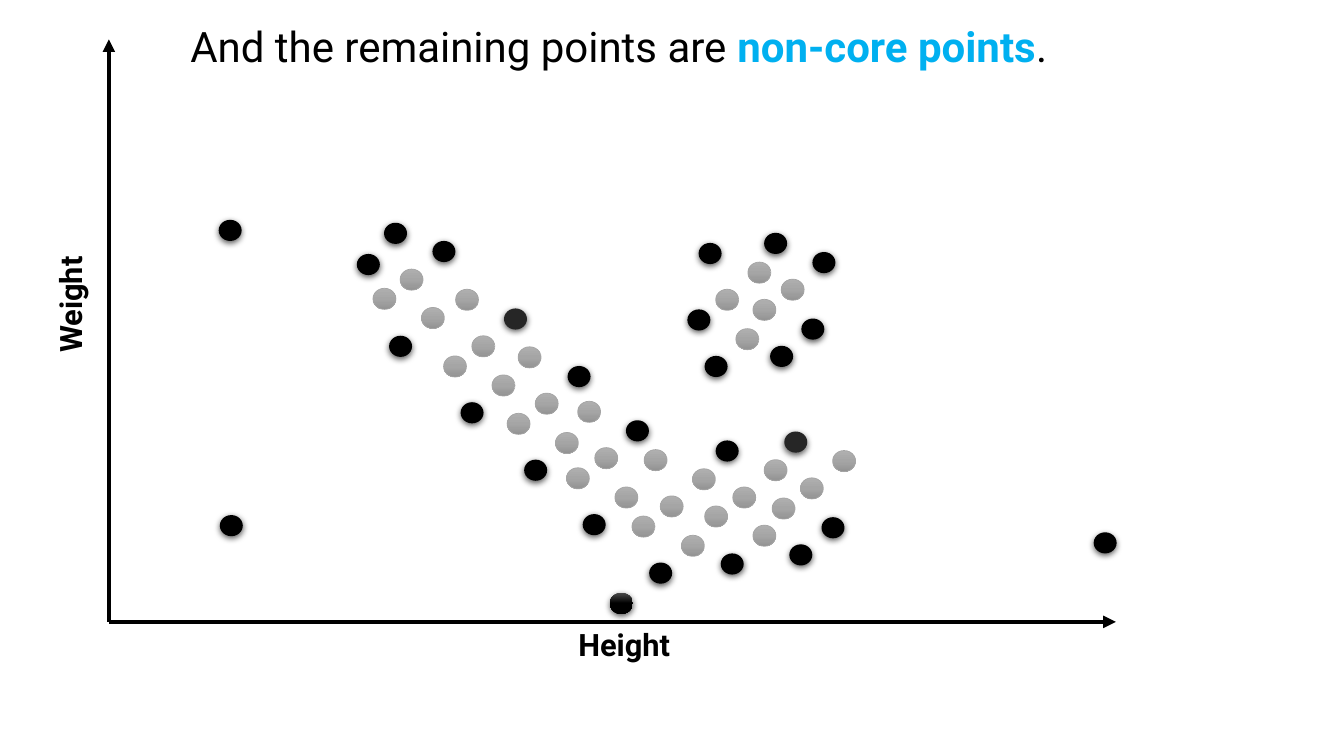
"""Scatter plot slide that contrasts core points with non-core points."""
from lxml import etree
from pptx import Presentation
from pptx.dml.color import RGBColor
from pptx.enum.shapes import MSO_CONNECTOR, MSO_SHAPE
from pptx.enum.text import MSO_AUTO_SIZE
from pptx.oxml import parse_xml
from pptx.oxml.ns import nsdecls, qn
from pptx.util import Pt

OVAL = MSO_SHAPE.OVAL
STRAIGHT = MSO_CONNECTOR.STRAIGHT
FIT = MSO_AUTO_SIZE.SHAPE_TO_FIT_TEXT

COLORS = {
    "black": "000000", "charcoal": "262626", "highlight": "00B0F0",
    "core_top": "AFAFAF", "core_mid": "A5A5A5", "core_end": "939393",
    "gloss": "4B4B4B",
}
FONT = "Roboto"
DOT_W, DOT_H = 16.4, 15.1
ORIGIN = (77.8, 444.2)
AXIS_ENDS = [(797, 444.2), (77.8, 28.1)]

CORE = [
    (285.8, 192.2), (266.4, 205.9), (301, 219.6), (325.4, 206.6),
    (337, 239.8), (316.8, 254.2), (351.4, 267.8), (370.1, 247.7),
    (382.3, 280.8), (362.2, 295.2), (396.7, 308.9), (412.6, 286.6),
    (424.8, 319.7), (404.6, 334.1), (439.2, 347.8), (460.1, 321.1),
    (471.6, 354.2), (494.6, 334.8), (451.4, 368.6), (486.7, 382.3),
    (523.4, 347.8), (545.8, 328.3), (503.3, 361.4), (537.8, 375.1),
    (571.7, 341.3), (594.7, 321.8), (551.5, 355.7), (511.2, 206.6),
    (534.2, 187.2), (525.6, 234.7), (558, 199.4), (537.8, 213.8),
]
NON_CORE = [
    (274.3, 159.1), (308.9, 172.1), (277.9, 239.8), (329, 287.3),
    (405.4, 261.4), (374.4, 328.3), (447.1, 300.2), (416.2, 367.2),
    (463.7, 401.8), (511.2, 314.6), (514.8, 395.3), (563.8, 388.8),
    (586.8, 369.4), (499, 173.5), (491, 221), (503.3, 254.2),
    (545.8, 166.3), (580.3, 180), (550.1, 247), (572.4, 227.5),
    (156.2, 157), (157, 367.9), (781.2, 380.2), (254.9, 181.4),
]
CHARCOAL = [(360, 220.3), (560.2, 308.2)]
GLOSSY = [(435.6, 423.4)]

# Each group: positions, fill colours from top to bottom, outline, shadow
DOT_GROUPS = [
    (CORE, ["core_top", "core_mid", "core_end"], "core_mid", False),
    (NON_CORE, ["black"], None, True),
    (CHARCOAL, ["charcoal"], None, True),
    (GLOSSY, ["gloss", "black", "black"], None, True),
]
# Each label: box, rotation, size, runs of (text, colour, bold)
LABELS = [
    ((128.9, 10.8, 668.2, 43.9), 0, 30, [
        ("And the remaining points are ", "black", False),
        ("non-core points", "highlight", True),
        (".", "black", False)]),
    ((406.1, 443.5, 84.2, 33.8), 0, 22, [("Height", "black", True)]),
    ((7.2, 199.4, 85.7, 33.8), 270, 22, [("Weight", "black", True)]),
]


def rgb(name):
    return RGBColor.from_string(COLORS[name])


def add_axis(slide, end):
    line = slide.shapes.add_connector(STRAIGHT, *map(Pt, ORIGIN + end))
    line.line.color.rgb = rgb("black")
    line.line.width = Pt(3)
    etree.SubElement(line.line._get_or_add_ln(), qn("a:tailEnd"), type="triangle")
    etree.SubElement(line._element.spPr, qn("a:effectLst"))


def gradient(names):
    stops = "".join(
        f'<a:gs pos="{i * 50000}"><a:srgbClr val="{COLORS[name]}"/></a:gs>'
        for i, name in enumerate(names))
    return parse_xml(f'<a:gradFill {nsdecls("a")}><a:gsLst>{stops}</a:gsLst>'
                     '<a:lin ang="5400000" scaled="0"/></a:gradFill>')


def shadow():
    return parse_xml(
        f'<a:outerShdw {nsdecls("a")} blurRad="{Pt(4.5)}" dist="{Pt(1.5)}" '
        f'dir="5400000" algn="ctr" rotWithShape="0"><a:srgbClr val="{COLORS["black"]}">'
        '<a:alpha val="63000"/></a:srgbClr></a:outerShdw>')


def add_dot(slide, pos, fills, outline, shadowed):
    sp = slide.shapes.add_shape(OVAL, *map(Pt, pos + (DOT_W, DOT_H)))
    spPr = sp._element.spPr
    if len(fills) == 1:
        sp.fill.solid()
        sp.fill.fore_color.rgb = rgb(fills[0])
    else:
        spPr.find(qn("a:prstGeom")).addnext(gradient(fills))
    if outline:
        sp.line.color.rgb = rgb(outline)
        sp.line.width = Pt(0.5)
    else:
        sp.line.fill.background()
    sp.shadow.inherit = False
    if shadowed:
        spPr.find(qn("a:effectLst")).append(shadow())


def add_label(slide, box, rotation, size, runs):
    sp = slide.shapes.add_textbox(*map(Pt, box))
    sp.rotation = rotation
    tf = sp.text_frame
    tf.word_wrap = True
    tf.auto_size = FIT
    p = tf.paragraphs[0]
    for text, color, bold in runs:
        r = p.add_run()
        r.text = text
        r.font.name = FONT
        r.font.size = Pt(size)
        r.font.bold = bold
        r.font.color.rgb = rgb(color)


def main():
    prs = Presentation()
    prs.slide_width, prs.slide_height = Pt(960), Pt(540)
    slide = prs.slides.add_slide(prs.slide_layouts[6])
    for end in AXIS_ENDS:
        add_axis(slide, end)
    for positions, fills, outline, shadowed in DOT_GROUPS:
        for pos in positions:
            add_dot(slide, pos, fills, outline, shadowed)
    for label in LABELS:
        add_label(slide, *label)
    prs.save("out.pptx")


if __name__ == "__main__":
    main()
